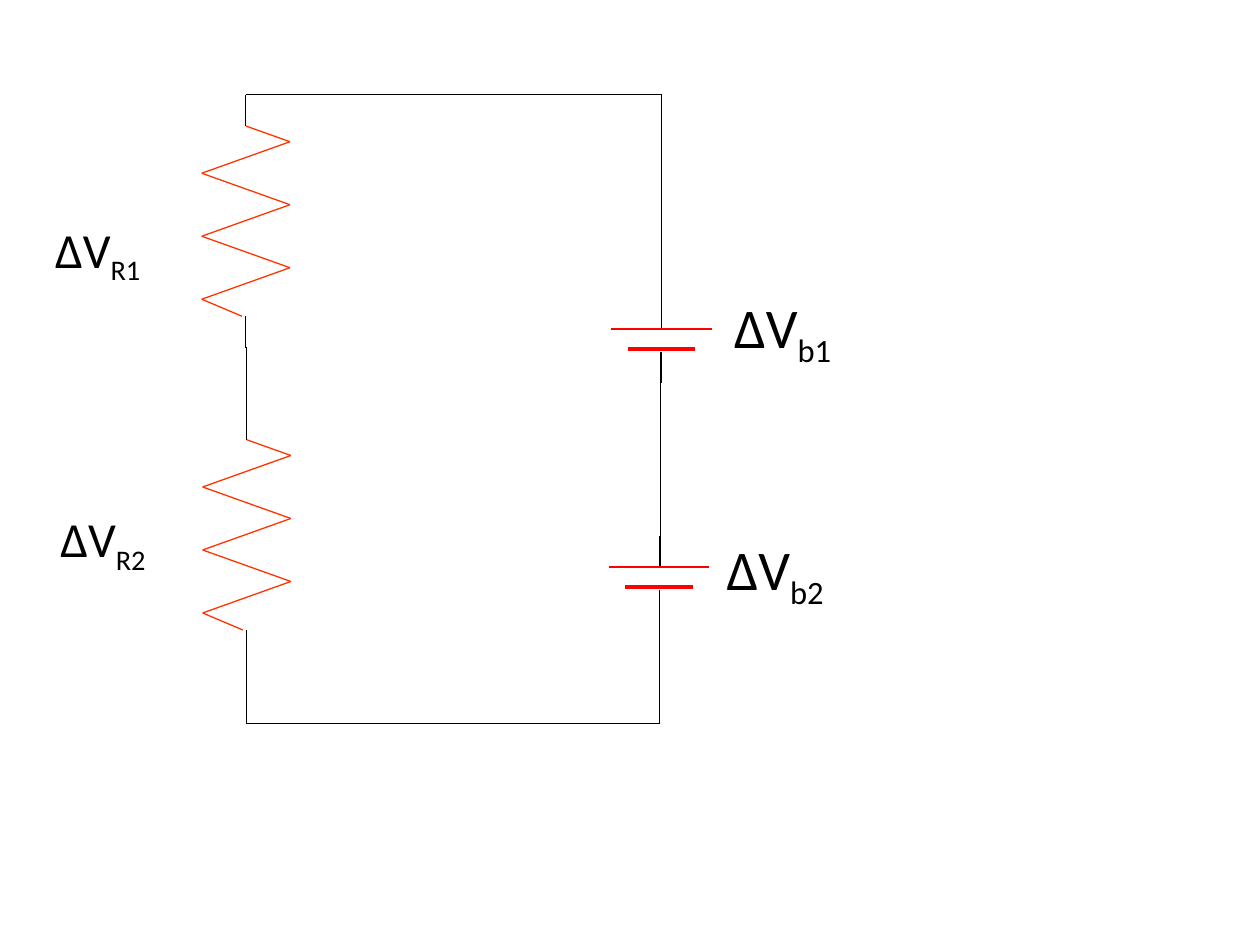
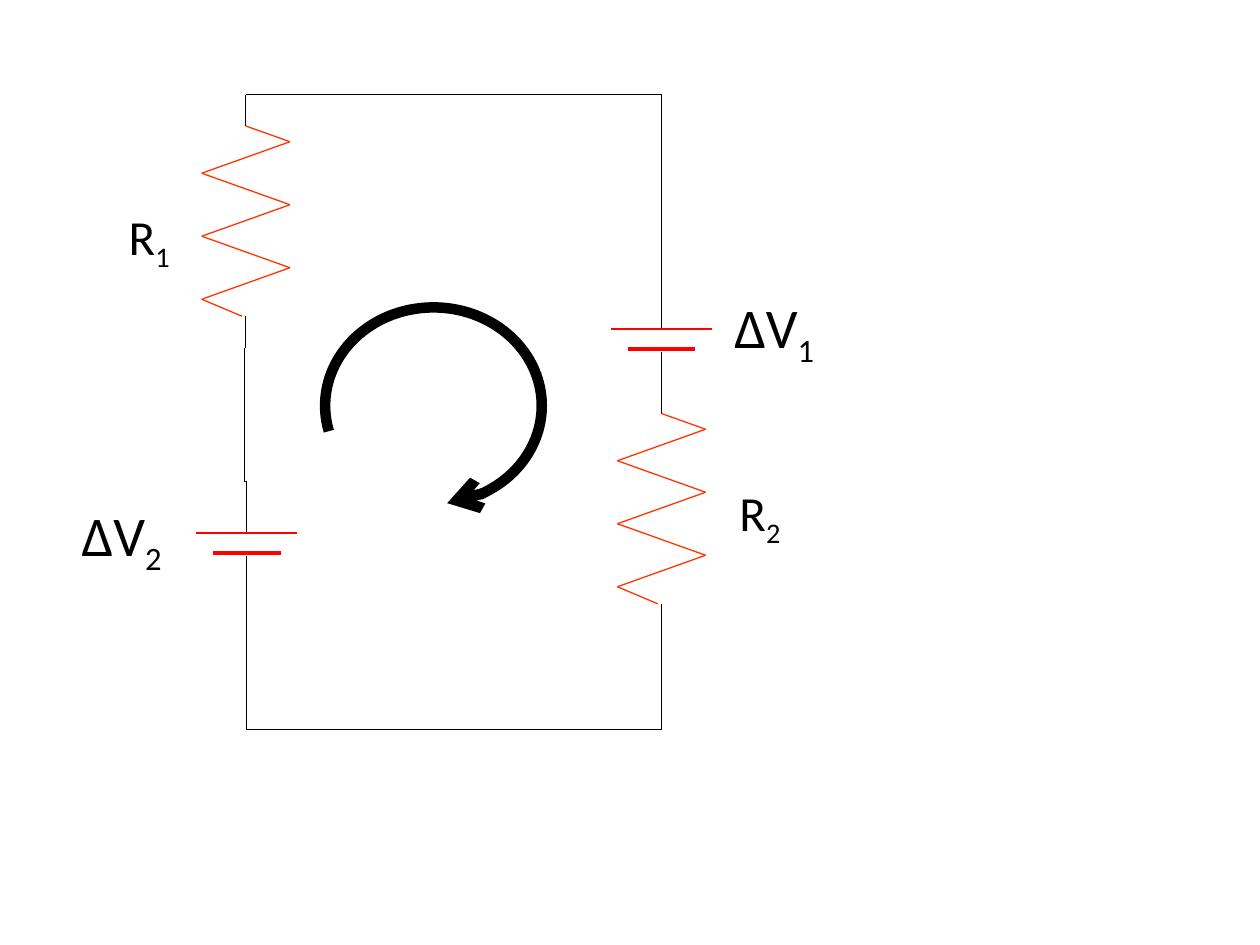
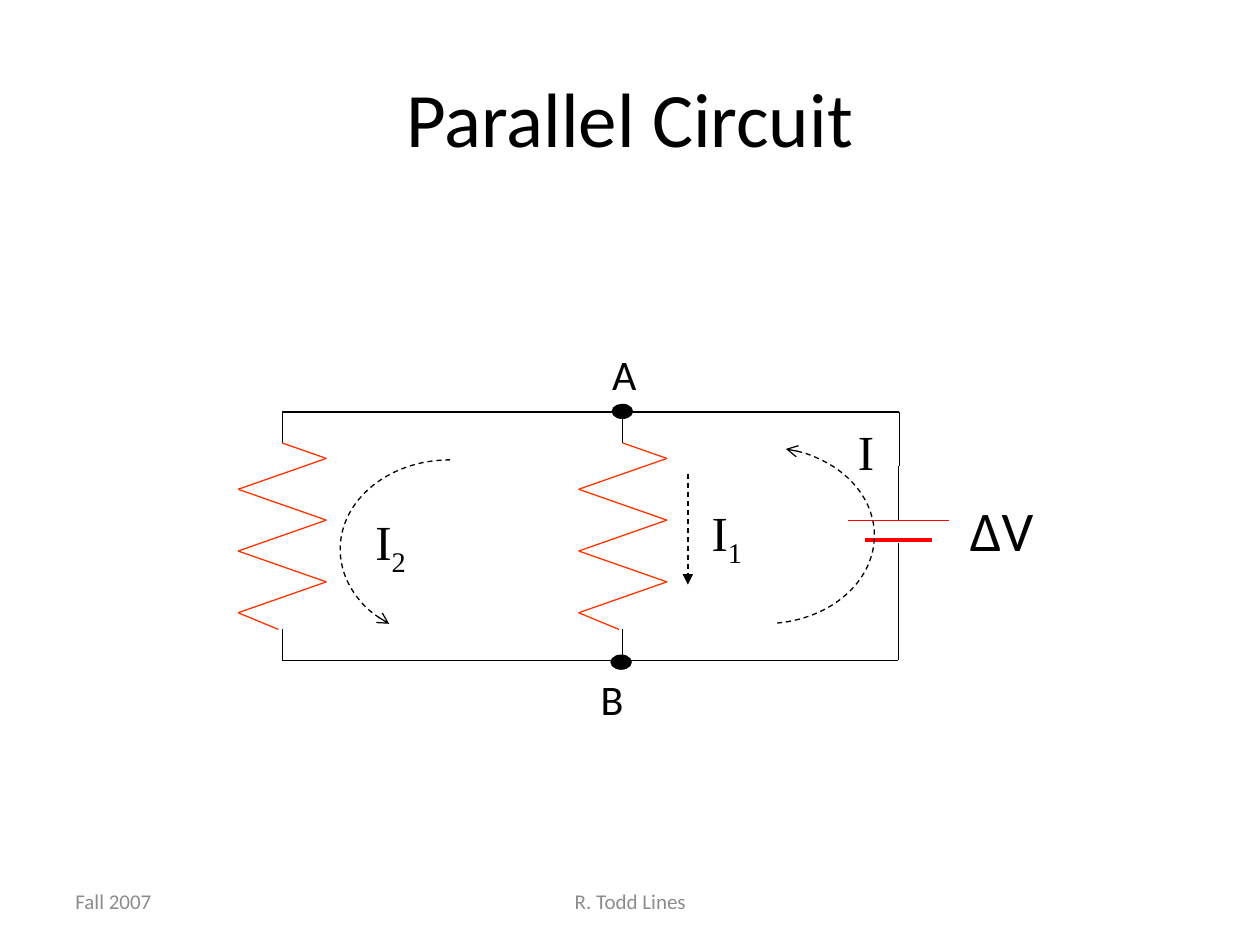
"""Builds three slides of circuit diagrams with resistors and batteries."""
from dataclasses import dataclass

from lxml import etree
from pptx import Presentation
from pptx.dml.color import RGBColor
from pptx.enum.dml import MSO_LINE
from pptx.enum.shapes import MSO_CONNECTOR, MSO_SHAPE
from pptx.enum.text import MSO_ANCHOR, PP_ALIGN
from pptx.oxml.ns import qn
from pptx.util import Pt

STRAIGHT = MSO_CONNECTOR.STRAIGHT
ARC, OVAL = MSO_SHAPE.ARC, MSO_SHAPE.OVAL
DASH, SOLID = MSO_LINE.DASH, MSO_LINE.SOLID
LEFT, CENTER = PP_ALIGN.LEFT, PP_ALIGN.CENTER
TOP, MIDDLE = MSO_ANCHOR.TOP, MSO_ANCHOR.MIDDLE


@dataclass(frozen=True)
class Theme:
    black: RGBColor = RGBColor(0, 0, 0)
    red: RGBColor = RGBColor(0xFF, 0, 0)
    orange: RGBColor = RGBColor(0xFF, 0x33, 0)
    gray: RGBColor = RGBColor(0x8C, 0x8C, 0x8C)
    sans: str = "Calibri"
    serif: str = "Times New Roman"
    title: int = 44
    volt: int = 32
    ohm: int = 28
    node: int = 24
    foot: int = 12
    thin: float = 0.75
    thick: float = 2.25
    bold: float = 6


T = Theme()


def ink(shape, color, width, dash=SOLID, end=None, tip=None):
    for name, value in {"width": Pt(width), "dash_style": dash}.items():
        setattr(shape.line, name, value)
    shape.line.color.rgb = color
    if end:
        outline = shape.line._get_or_add_ln()
        etree.SubElement(outline, qn(f"a:{end}"), type=tip)
    etree.SubElement(shape._element.spPr, qn("a:effectLst"))


def write(frame, text, sub, size, font=T.sans, color=T.black,
          align=LEFT, anchor=TOP, wrap=True):
    looks = {"word_wrap": wrap, "vertical_anchor": anchor}
    for name, value in looks.items():
        setattr(frame, name, value)
    para = frame.paragraphs[0]
    para.alignment = align
    for words, base in ((text, None), (sub, "-25000")):
        if not words:
            continue
        run = para.add_run()
        run.text = words
        for name, value in {"name": font, "size": Pt(size)}.items():
            setattr(run.font, name, value)
        run.font.color.rgb = color
        if base:
            run.font._element.set("baseline", base)


volt = {"size": T.volt, "wrap": False}
ohm = {"size": T.ohm}
flow = {"size": T.ohm, "font": T.serif}
node = {"size": T.node, "wrap": False}
foot = {"size": T.foot, "color": T.gray, "anchor": MIDDLE}

roof = [(140.5, 54), (378, 54), (378, 170)]
slides = [
    {
        "scale": 1,
        "coils": [(140.5, 54), (141, 233.3)],
        "cells": [(378, 170), (376.7, 306)],
        "wires": [
            roof,
            [(140.5, 198.7), (141, 198.7), (141, 233.3)],
            [(377.3, 201), (377.3, 324)],
            [(376.7, 355), (376.7, 413.5), (141, 413.5), (141, 378)],
        ],
        "labels": [
            ("ΔV", "R1", (24.5, 121.7, 78, 42), ohm),
            ("ΔV", "R2", (27.5, 287.3, 72, 42), ohm),
            ("ΔV", "b1", (412.5, 163.4, 75, 46), volt),
            ("ΔV", "b2", (408.2, 301.7, 75, 46), volt),
        ],
    },
    {
        "scale": 1,
        "coils": [(140.5, 54), (378, 218.3)],
        "cells": [(378, 170), (141, 286.6)],
        "wires": [
            roof,
            [(141, 286.6), (141, 275), (139.7, 275), (139.7, 198.7)],
            [(378, 363), (378, 417), (141, 417), (141, 335.5)],
        ],
        "labels": [
            ("R", "1", (66.5, 114.5, 72, 42), ohm),
            ("R", "2", (415.5, 272.3, 72, 42), ohm),
            ("ΔV", "1", (412.5, 163.4, 63.4, 46), volt),
            ("ΔV", "2", (39.6, 282.2, 63.4, 46), volt),
        ],
        "arcs": [((185.8, 175.7, 123.8, 112.3), 166.3, 82,
                  T.bold, SOLID, "tailEnd")],
    },
    {
        "scale": 0.98,
        "title": "Parallel Circuit",
        "coils": [(161.3, 235.5), (355.9, 235.5)],
        "cells": [(513.4, 279.8)],
        "wires": [
            [(161.3, 235.5), (356.4, 235.5)],
            [(161.3, 377.3), (356.4, 377.3)],
            [(356.4, 235.5), (514, 235.5), (514, 266.4),
             (513.4, 266.4), (513.4, 279.8)],
            [(356.4, 377.3), (513.4, 377.3), (513.4, 327.6)],
        ],
        "labels": [
            ("ΔV", "", (547.2, 279.4, 55.4, 45.4), volt),
            ("I", "1", (399.6, 283.7, 42.5, 41), flow),
            ("I", "2", (207.4, 288.7, 44.6, 41), flow),
            ("I", "", (483.1, 237.6, 23.8, 41), flow),
            ("A", "", (342.7, 195.8, 30.2, 36), node),
            ("B", "", (336.2, 381.6, 30.2, 36), node),
            ("Fall 2007", "", (36, 500.4, 168, 28.8), foot),
            ("R. Todd Lines", "", (246.2, 500.4, 228, 28.8),
             {**foot, "align": CENTER}),
        ],
        "arcs": [
            ((194.4, 262.8, 125.3, 102.2), 129.1, 270, T.thin, DASH, "headEnd"),
            ((374.4, 255.6, 125.3, 100.8), 283.7, 81.9, T.thin, DASH, "headEnd"),
        ],
        "arrows": [((393.1, 270.7), (393.1, 334.1))],
        "dots": [(349.9, 231.1), (349.2, 374.4)],
    },
]

deck = Presentation()
deck.slide_width, deck.slide_height = Pt(720), Pt(540)

for plan in slides:
    layout = deck.slide_layouts[5 if "title" in plan else 6]
    slide = deck.slides.add_slide(layout)
    shapes = slide.shapes
    if "title" in plan:
        head = shapes.title
        spots = {"left": 36, "top": 21.6, "width": 648, "height": 90}
        for name, value in spots.items():
            setattr(head, name, Pt(value))
        write(head.text_frame, plan["title"], "", T.title,
              align=CENTER, anchor=MIDDLE)

    traces = [(wire, T.black, T.thin) for wire in plan["wires"]]
    unit = 18 * plan["scale"]
    for x, y in plan["coils"]:
        low = y + 7.04 * unit
        turns = [(x + (-25.2 if i % 2 else 25.2), y + (1.5 + i) * unit)
                 for i in range(6)]
        traces += [
            ([(x, y), (x, y + unit)], T.black, T.thin),
            ([(x, y + unit), *turns, (x - 2.2, low)], T.orange, T.thin),
            ([(x, low), (x, low + unit)], T.black, T.thin),
        ]
    for x, y in plan["cells"]:
        low = y + 1.72 * unit
        traces += [
            ([(x, y), (x, y + unit)], T.black, T.thin),
            ([(x, low), (x, low + unit)], T.black, T.thin),
        ]
        for half, drop, width in ((28.7, 1, T.thin), (19.3, 1.63, T.thick)):
            rise = y + drop * unit
            traces.append(([(x - half, rise), (x + half, rise)], T.red, width))

    for points, color, width in traces:
        for start, stop in zip(points, points[1:]):
            line = shapes.add_connector(STRAIGHT, *map(Pt, start + stop))
            ink(line, color, width)

    for box, start, stop, width, dash, end in plan.get("arcs", []):
        arc = shapes.add_shape(ARC, *map(Pt, box))
        arc.adjustments[0], arc.adjustments[1] = start * 0.6, stop * 0.6
        arc.fill.background()
        ink(arc, T.black, width, dash, end, "arrow")

    for start, stop in plan.get("arrows", []):
        line = shapes.add_connector(STRAIGHT, *map(Pt, start + stop))
        ink(line, T.black, T.thin, DASH, "tailEnd", "triangle")

    for x, y in plan.get("dots", []):
        dot = shapes.add_shape(OVAL, Pt(x), Pt(y), Pt(11.5), Pt(8))
        dot.fill.solid()
        dot.fill.fore_color.rgb = T.black
        ink(dot, T.black, T.thin)

    for text, sub, box, style in plan["labels"]:
        frame = shapes.add_textbox(*map(Pt, box)).text_frame
        write(frame, text, sub, **style)

deck.save("out.pptx")
